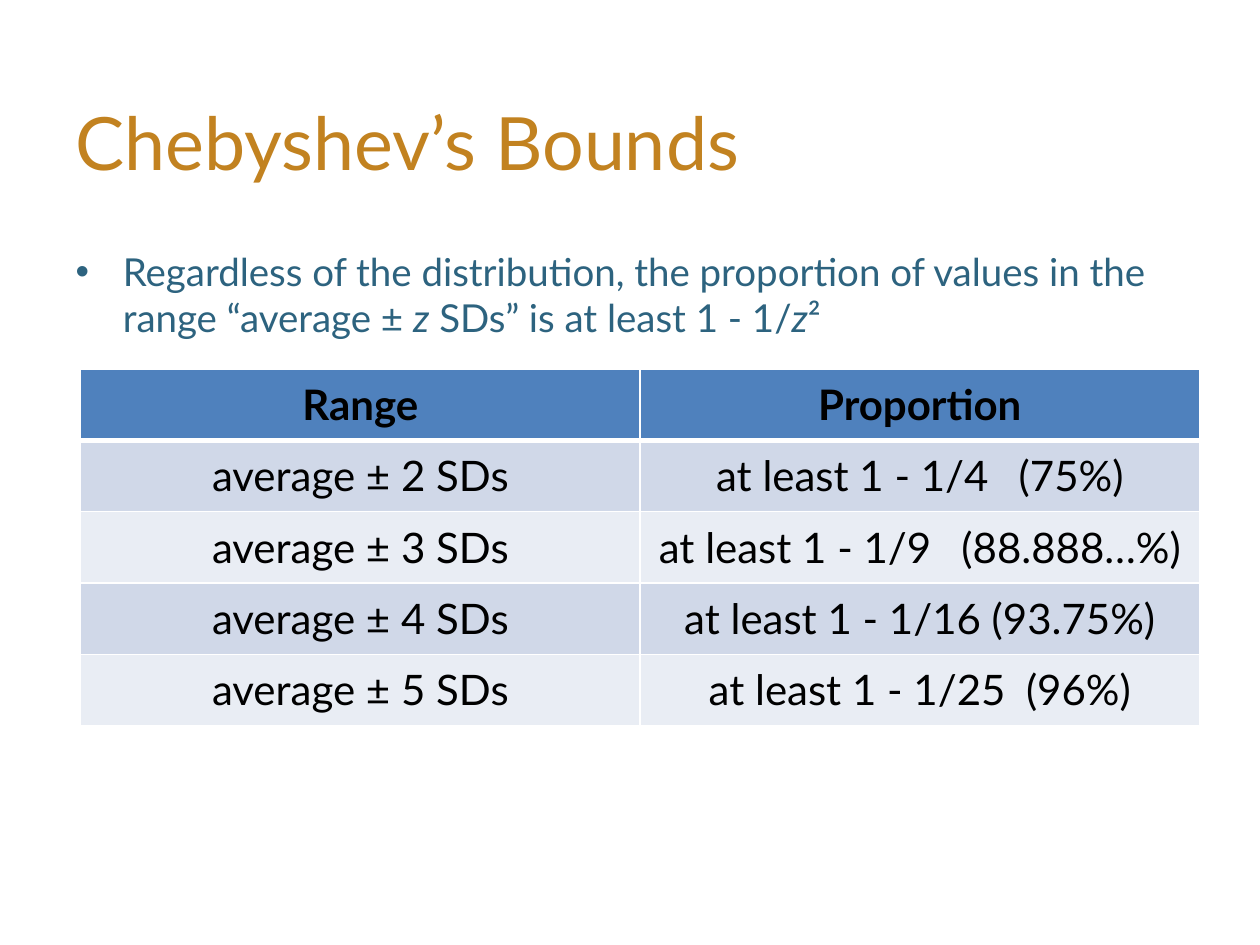
import pptx
import pptx.util
import pptx.dml.color
import pptx.enum.text
import pptx.oxml.ns
import lxml.etree

Inches, Pt = pptx.util.Inches, pptx.util.Pt
PP_ALIGN = pptx.enum.text.PP_ALIGN
MSO_ANCHOR = pptx.enum.text.MSO_ANCHOR

WIDTH, HEIGHT = 10, 7.5
FONT = "Lato"
COLORS = {
    "title": "C28220",
    "body": "2D637F",
    "cell_text": "000000",
    "header": "4F81BD",
    "odd_row": "D0D8E8",
    "even_row": "E9EDF4",
    "border": "FFFFFF",
}

# Text and whether it is italic
STATEMENT = [
    ("Regardless of the distribution, the proportion of values in the range “average ± ", False),
    ("z", True),
    (" SDs” is at least 1 - 1/", False),
    ("z", True),
    ("²", False),
]

# Number of SDs, lower bound, percentage, extra points in the gap between them
BOUNDS = [
    (2, "1 - 1/4", "75%", 11),
    (3, "1 - 1/9", "88.888…%", 11),
    (4, "1 - 1/16", "93.75%", 0),
    (5, "1 - 1/25", "96%", 5.5),
]


def rgb(name):
    return pptx.dml.color.RGBColor.from_string(COLORS[name])


def style(p, size, color, align=PP_ALIGN.LEFT, bold=False):
    p.alignment = align
    p.font.name = FONT
    p.font.size = Pt(size)
    p.font.bold = bold
    p.font.color.rgb = rgb(color)


def place(shape, left, top, width, height):
    shape.left, shape.top = Inches(left), Inches(top)
    shape.width, shape.height = Inches(width), Inches(height)


def add_runs(p, texts):
    runs = []
    for text in texts:
        r = p.add_run()
        r.text = text
        runs.append(r)
    return runs


def set_border(cell, side, points):
    tc_pr = cell._tc.get_or_add_tcPr()
    qn = pptx.oxml.ns.qn
    ln = lxml.etree.SubElement(tc_pr, qn(f"a:{side}"), w=str(Pt(points)))
    fill = lxml.etree.SubElement(ln, qn("a:solidFill"))
    lxml.etree.SubElement(fill, qn("a:srgbClr"), val=COLORS["border"])


def format_cell(cell, row):
    cell.margin_left = cell.margin_right = Inches(0.08)
    cell.margin_top = cell.margin_bottom = Inches(0.08)
    cell.vertical_anchor = MSO_ANCHOR.TOP
    style(cell.text_frame.paragraphs[0], 24, "cell_text", PP_ALIGN.CENTER, bold=row == 0)
    # Borders come before the fill; the header rule is heavier
    for side in ("lnL", "lnR", "lnT", "lnB"):
        under_header = (row, side) in ((0, "lnB"), (1, "lnT"))
        set_border(cell, side, 3 if under_header else 1)
    cell.fill.solid()
    band = "odd_row" if row % 2 else "even_row"
    cell.fill.fore_color.rgb = rgb("header" if row == 0 else band)


def fill_title(s):
    title = s.shapes.title
    place(title, 0.05 * WIDTH, 0.065 * HEIGHT, 0.906 * WIDTH, 0.168 * HEIGHT)
    title.text_frame.text = "Chebyshev’s Bounds"
    style(title.text_frame.paragraphs[0], 42, "title")


def fill_body(s):
    body = s.placeholders[1]
    place(body, 0.05 * WIDTH, 0.256 * HEIGHT, 0.906 * WIDTH, 0.481 * HEIGHT)
    p = body.text_frame.paragraphs[0]
    style(p, 22, "body")
    for r, (_, italic) in zip(add_runs(p, [text for text, _ in STATEMENT]), STATEMENT):
        r.font.italic = italic


def add_bounds_table(s):
    rows, cols, col_width, row_height = len(BOUNDS) + 1, 2, 4.44, 0.566
    frame = s.shapes.add_table(rows, cols, Inches(0.64), Inches(2.93),
                               Inches(cols * col_width), Inches(rows * row_height))
    table = frame.table
    for col, heading in enumerate(("Range", "Proportion")):
        table.cell(0, col).text = heading
    for row, (sds, bound, percent, gap) in enumerate(BOUNDS, start=1):
        table.cell(row, 0).text = f"average ± {sds} SDs"
        p = table.cell(row, 1).text_frame.paragraphs[0]
        space = add_runs(p, [f"at least {bound}", " ", f"({percent})"])[1]
        # Letter spacing widens the gap before the percentage
        space.font._element.set("spc", str(round(gap * 100)))
    for row in range(rows):
        for col in range(cols):
            format_cell(table.cell(row, col), row)


def main():
    prs = pptx.Presentation()
    prs.slide_width, prs.slide_height = Inches(WIDTH), Inches(HEIGHT)
    s = prs.slides.add_slide(prs.slide_layouts[1])
    fill_title(s)
    fill_body(s)
    add_bounds_table(s)
    prs.save("out.pptx")


if __name__ == "__main__":
    main()
